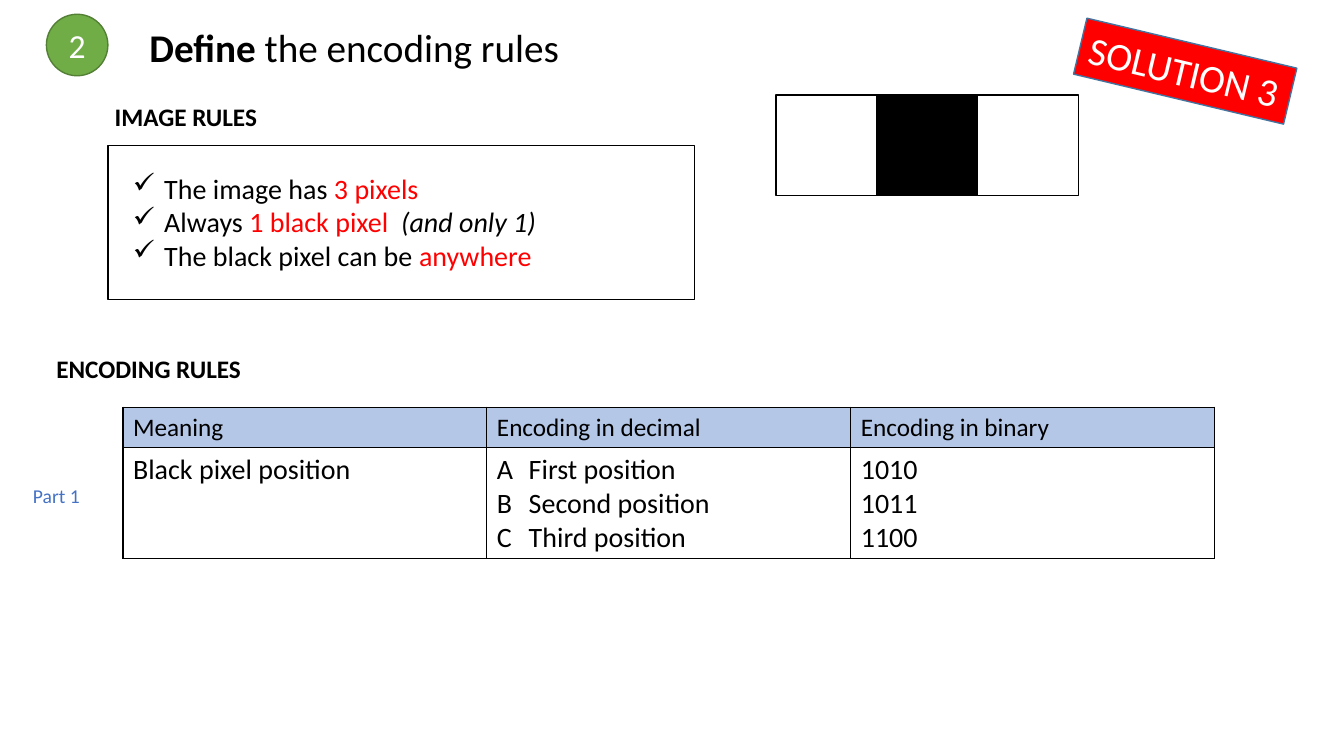
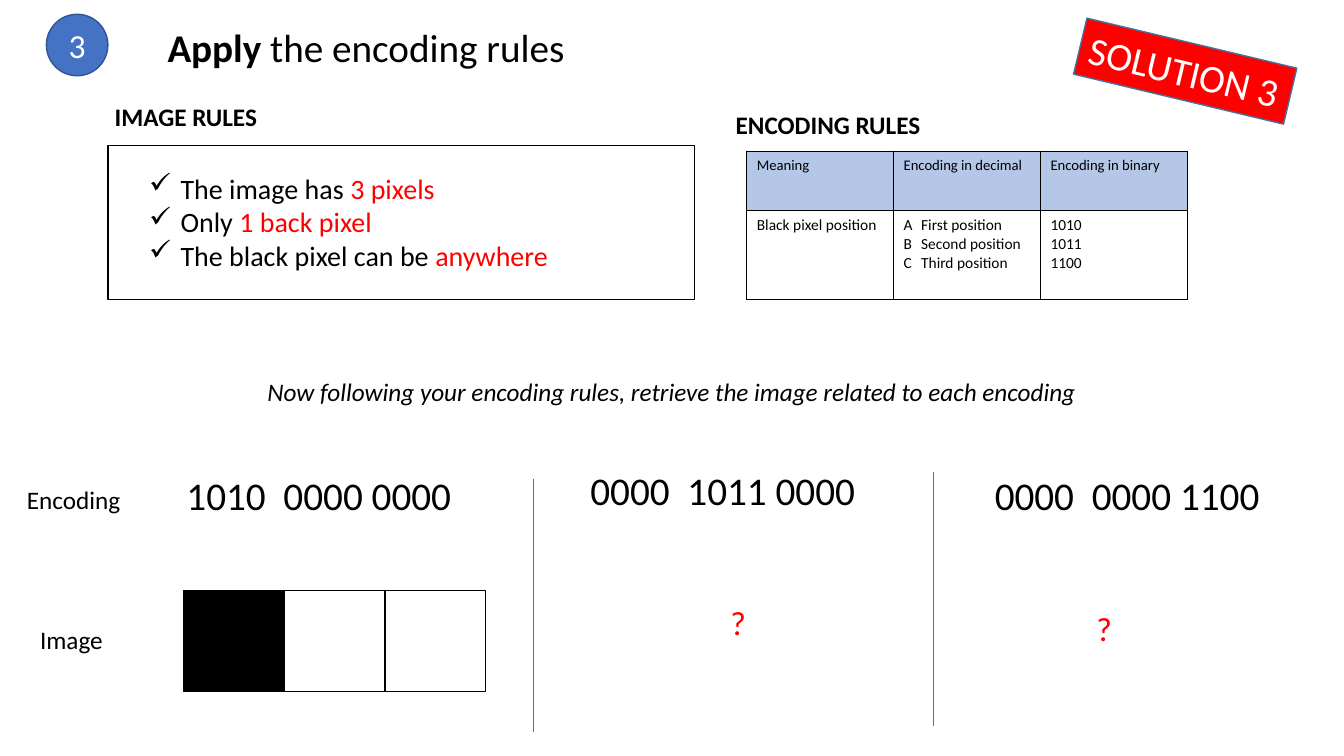
import dataclasses

import lxml.etree
import pptx
import pptx.dml.color
import pptx.enum.shapes
import pptx.enum.text
import pptx.oxml.ns
import pptx.util

Cm = pptx.util.Cm
Pt = pptx.util.Pt
qn = pptx.oxml.ns.qn
SHAPE = pptx.enum.shapes.MSO_SHAPE
ALIGN = pptx.enum.text.PP_ALIGN
ANCHOR = pptx.enum.text.MSO_ANCHOR


@dataclasses.dataclass(frozen=True)
class Theme:
    font: str = "Calibri"
    black: str = "000000"
    white: str = "FFFFFF"
    red: str = "FF0000"
    blue: str = "4472C4"
    blue_edge: str = "325491"
    green: str = "70AD47"
    green_edge: str = "538035"
    stamp_edge: str = "43739E"
    header: str = "B4C7E7"
    title: float = 28
    number: float = 24
    body: float = 20
    label: float = 18
    note: float = 14
    small: float = 11
    small_header: float = 10.5


T = Theme()
HEADERS = ("Meaning", "Encoding in decimal", "Encoding in binary")
ENCODINGS = (
    ("Black pixel position",),
    ("A\tFirst position", "B\tSecond position", "C\tThird position"),
    ("1010", "1011", "1100"),
)


def rgb(value):
    return pptx.dml.color.RGBColor.from_string(value)


def add_run(p, text, size, color=T.black, bold=False, italic=False):
    r = p.add_run()
    r.text = text
    font = r.font
    font.name, font.size = T.font, Pt(size)
    font.bold, font.italic = bold, italic
    font.color.rgb = rgb(color)


def add_text(slide, box, text, size, color=T.black, align=ALIGN.LEFT, wrap=False, **style):
    sp = slide.shapes.add_textbox(*map(Cm, box))
    tf = sp.text_frame
    tf.word_wrap = wrap
    p = tf.paragraphs[0]
    p.alignment = align
    add_run(p, text, size, color, **style)


def add_title(slide, verb, align):
    sp = slide.shapes.title
    sp.left, sp.top, sp.width, sp.height = map(Cm, (3.51, 0.46, 11.43, 1.45))
    tf = sp.text_frame
    tf.word_wrap = True
    tf.auto_size = pptx.enum.text.MSO_AUTO_SIZE.NONE
    tf.vertical_anchor = ANCHOR.TOP
    p = tf.paragraphs[0]
    p.alignment = align
    add_run(p, verb, T.title, bold=True)
    add_run(p, " the encoding rules", T.title)


def add_box(slide, kind, box, fill, line):
    sp = slide.shapes.add_shape(kind, *map(Cm, box))
    sp.shadow.inherit = False
    if fill:
        sp.fill.solid()
        sp.fill.fore_color.rgb = rgb(fill)
    else:
        sp.fill.background()
    sp.line.color.rgb = rgb(line)
    sp.line.width = Pt(1)
    return sp


def add_number(slide, number, fill, line):
    sp = add_box(slide, SHAPE.OVAL, (1.17, 0.36, 1.55, 1.55), fill, line)
    p = sp.text_frame.paragraphs[0]
    p.alignment = ALIGN.CENTER
    add_run(p, number, T.number, T.white)


def add_stamp(slide):
    sp = add_box(slide, SHAPE.RECTANGLE, (27.15, 1.07, 5.44, 1.45), T.red, T.stamp_edge)
    sp.rotation = 13.4
    tf = sp.text_frame
    tf.word_wrap = False
    tf.vertical_anchor = ANCHOR.TOP
    p = tf.paragraphs[0]
    p.alignment = ALIGN.LEFT
    add_run(p, "SOLUTION 3", T.title, T.white)


def add_pixels(slide, left, top, black_index):
    side = 2.54
    for i in range(3):
        fill = T.black if i == black_index else T.white
        add_box(slide, SHAPE.RECTANGLE, (left + i * side, top, side, side), fill, T.black)


def add_image_rules(slide, left, width, rules):
    add_text(slide, (2.64, 2.44, 4.14, 1.02), "IMAGE RULES", T.label, bold=True)
    add_box(slide, SHAPE.RECTANGLE, (2.72, 3.66, 14.78, 3.89), None, T.black)
    sp = slide.shapes.add_textbox(Cm(left), Cm(4.19), Cm(width), Cm(2.82))
    tf = sp.text_frame
    tf.word_wrap = False
    for i, runs in enumerate(rules):
        p = tf.add_paragraph() if i else tf.paragraphs[0]
        pPr = p._p.get_or_add_pPr()
        pPr.set("marL", str(Cm(0.79)))
        pPr.set("indent", str(-Cm(0.79)))
        lxml.etree.SubElement(pPr, qn("a:buChar")).set("char", "✓")
        for text, style in runs:
            add_run(p, text, T.body, **style)


def set_borders(cell):
    tcPr = cell._tc.get_or_add_tcPr()
    for side in "LRTB":
        ln = lxml.etree.SubElement(tcPr, qn("a:ln" + side), w=str(Pt(1)))
        fill = lxml.etree.SubElement(ln, qn("a:solidFill"))
        lxml.etree.SubElement(fill, qn("a:srgbClr"), val=T.black)


def set_cell(cell, lines, size, fill=None):
    set_borders(cell)
    if fill:
        cell.fill.solid()
        cell.fill.fore_color.rgb = rgb(fill)
    else:
        cell.fill.background()
    tf = cell.text_frame
    for i, line in enumerate(lines):
        p = tf.add_paragraph() if i else tf.paragraphs[0]
        if "\t" in line:
            tabs = lxml.etree.SubElement(p._p.get_or_add_pPr(), qn("a:tabLst"))
            lxml.etree.SubElement(tabs, qn("a:tab"), pos=str(Cm(0.04 * size)), algn="l")
        add_run(p, line, size)


def add_encoding_table(slide, left, top, col_width, row_heights, header_size, size):
    frame = slide.shapes.add_table(
        2, 3, Cm(left), Cm(top), Cm(3 * col_width), Cm(sum(row_heights)))
    table = frame.table
    table.first_row = table.horz_banding = False
    for row, height in zip(table.rows, row_heights):
        row.height = Cm(height)
    for i, (header, lines) in enumerate(zip(HEADERS, ENCODINGS)):
        table.columns[i].width = Cm(col_width)
        set_cell(table.cell(0, i), (header,), header_size, T.header)
        set_cell(table.cell(1, i), lines, size)


def add_divider(slide, x, top, bottom):
    line = slide.shapes.add_connector(
        pptx.enum.shapes.MSO_CONNECTOR.STRAIGHT, Cm(x), Cm(top), Cm(x), Cm(bottom))
    line.line.color.rgb = rgb(T.blue)
    line.line.width = Pt(0.5)
    lxml.etree.SubElement(line._element.spPr, qn("a:effectLst"))


def add_step(prs, number, verb, align, fill, line):
    slide = prs.slides.add_slide(prs.slide_layouts[5])
    add_title(slide, verb, align)
    add_number(slide, number, fill, line)
    add_stamp(slide)
    return slide


def build_define(prs):
    slide = add_step(prs, "2", "Define", ALIGN.LEFT, T.green, T.green_edge)
    red = {"color": T.red}
    add_image_rules(slide, 3.1, 10.77, (
        (("The image has ", {}), ("3 pixels", red)),
        (("Always ", {}), ("1 black pixel  ", red), ("(and only 1)", {"italic": True})),
        (("The black pixel can be ", {}), ("anywhere", red)),
    ))
    add_pixels(slide, 19.56, 2.39, 1)
    add_text(slide, (1.17, 8.79, 5.23, 1.02), "ENCODING RULES", T.label, bold=True)
    add_text(slide, (0.58, 12.07, 1.7, 0.86), "Part 1", T.note, T.blue)
    add_encoding_table(slide, 3.1, 10.26, 9.17, (1.02, 2.79), T.label, T.body)


def build_apply(prs):
    slide = add_step(prs, "3", "Apply", ALIGN.CENTER, T.blue, T.blue_edge)
    red = {"color": T.red}
    add_image_rules(slide, 3.51, 10.67, (
        (("The image has ", {}), ("3 pixels", red)),
        (("Only ", {}), ("1 back pixel", red)),
        (("The black pixel can be ", {}), ("anywhere", red)),
    ))
    add_text(slide, (18.29, 2.62, 5.23, 1.02), "ENCODING RULES", T.label, bold=True)
    add_encoding_table(slide, 18.82, 3.81, 3.7, (1.5, 2.24), T.small_header, T.small)
    add_text(slide, (5.03, 9.37, 23.8, 1.02),
             "Now following your encoding rules, retrieve the image related to each encoding",
             T.label, align=ALIGN.CENTER, wrap=True, italic=True)
    add_text(slide, (0.43, 12.07, 2.9, 1.02), "Encoding", T.label)
    add_text(slide, (0.76, 15.6, 2.11, 1.02), "Image", T.label)
    for left, top, code in (
        (4.45, 11.76, "1010  0000 0000"),
        (14.63, 11.63, "0000  1011 0000"),
        (24.82, 11.76, "0000  0000 1100"),
    ):
        add_text(slide, (left, top, 7.29, 1.45), code, T.title)
    add_pixels(slide, 4.62, 14.88, 0)
    for left, top in ((18.16, 15.04), (27.38, 15.19)):
        add_text(slide, (left, top, 0.91, 1.27), "?", T.number, T.red)
    add_divider(slide, 13.44, 12.07, 18.44)
    add_divider(slide, 23.52, 11.89, 18.29)


def main():
    prs = pptx.Presentation()
    prs.slide_width, prs.slide_height = Cm(33.87), Cm(19.05)
    build_define(prs)
    build_apply(prs)
    prs.save("out.pptx")


if __name__ == "__main__":
    main()
